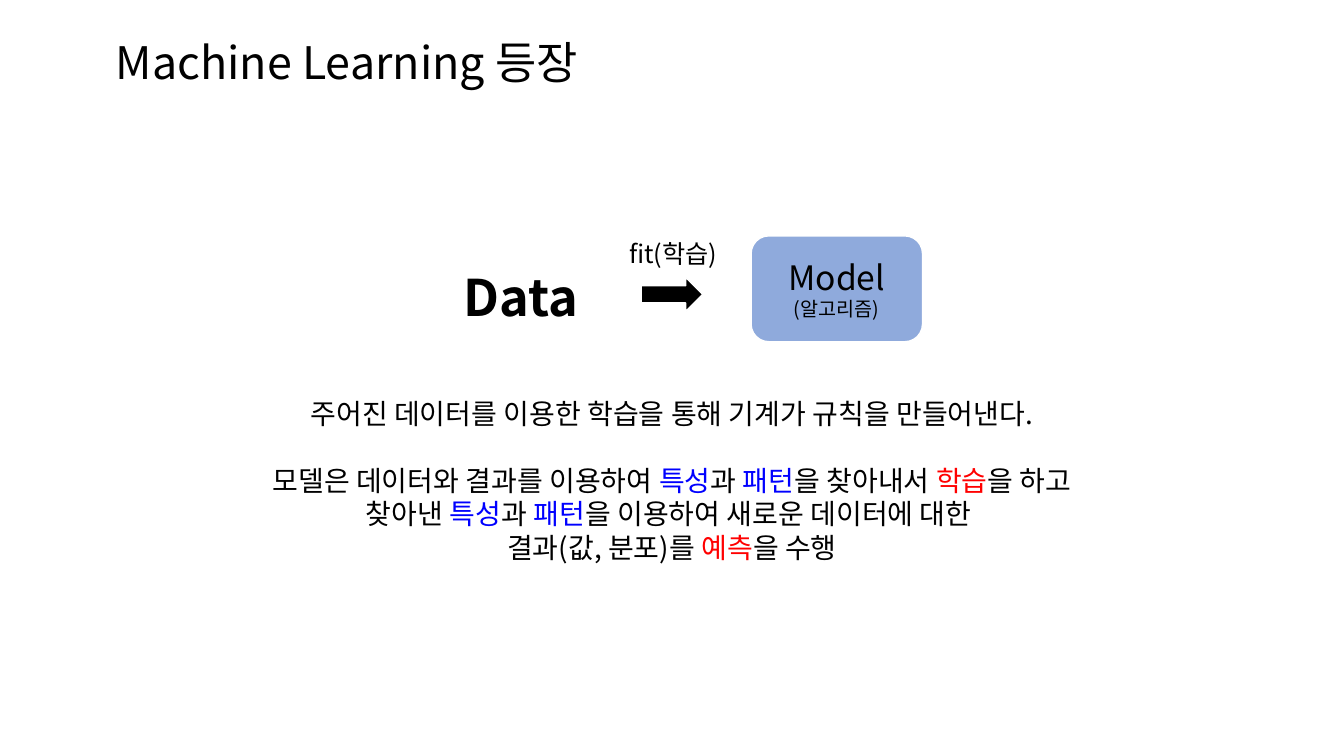
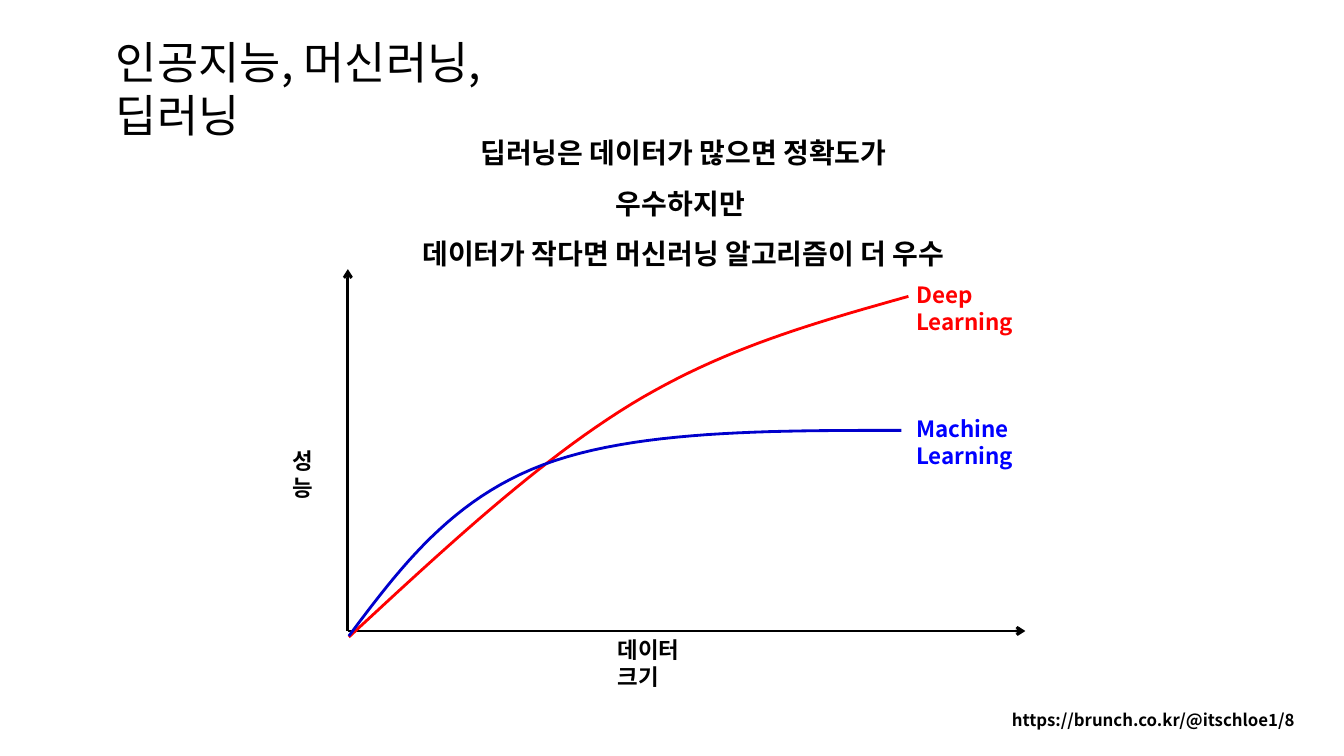
from lxml import etree
from pptx import Presentation
from pptx.dml.color import RGBColor
from pptx.enum.shapes import MSO_CONNECTOR, MSO_SHAPE
from pptx.enum.text import MSO_ANCHOR, MSO_AUTO_SIZE, PP_ALIGN
from pptx.oxml.ns import qn
from pptx.util import Inches, Pt

LEFT, CENTER, RIGHT = PP_ALIGN.LEFT, PP_ALIGN.CENTER, PP_ALIGN.RIGHT
TOP, MIDDLE = MSO_ANCHOR.TOP, MSO_ANCHOR.MIDDLE
NO_AUTOFIT = MSO_AUTO_SIZE.NONE
ROUNDED, RIGHT_ARROW = MSO_SHAPE.ROUNDED_RECTANGLE, MSO_SHAPE.RIGHT_ARROW
STRAIGHT = MSO_CONNECTOR.STRAIGHT
FONT = "Noto Sans CJK KR"
TITLE_ONLY = 5
CURVE_STEPS = 24
COLORS = {
    "black": "000000",
    "white": "FFFFFF",
    "model": "8FAADC",
    "red": "FF0000",
    "blue": "0000FF",
    "navy": "0000CC",
}


def rgb(name):
    """Return the named colour."""
    return RGBColor.from_string(COLORS[name])


def write(frame, text, size=16, color="black", bold=False, align=LEFT,
          line_spacing=None, space_before=0, first=False):
    """Add one paragraph, given as a string or as (text, colour) pieces."""
    paragraph = frame.paragraphs[0] if first else frame.add_paragraph()
    paragraph.alignment = align
    paragraph.space_before = Pt(space_before)
    if line_spacing:
        paragraph.line_spacing = line_spacing
    pieces = [(text, color)] if isinstance(text, str) else text
    for piece, piece_color in pieces:
        run = paragraph.add_run()
        run.text = piece
        run.font.size = Pt(size)
        run.font.bold = bold
        run.font.color.rgb = rgb(piece_color)
        run.font.name = FONT
        properties = run.font._element
        etree.SubElement(properties, qn("a:ea"), typeface=FONT)


def cubic_points(start, control_1, control_2, end):
    """Return points along a cubic curve, without its start."""
    points = []
    for step in range(1, CURVE_STEPS + 1):
        t = step / CURVE_STEPS
        weights = ((1 - t) ** 3, 3 * t * (1 - t) ** 2, 3 * t ** 2 * (1 - t), t ** 3)
        points.append(tuple(
            sum(weight * value for weight, value in zip(weights, values))
            for values in zip(start, control_1, control_2, end)))
    return points


class Deck:
    """Hold the presentation, its style and the current slide."""

    def __init__(self):
        """Start a widescreen presentation."""
        self.presentation = Presentation()
        self.presentation.slide_width = Inches(13.33)
        self.presentation.slide_height = Inches(7.5)
        self.slide = None

    def new_slide(self, title, title_width):
        """Add a slide with its title."""
        layout = self.presentation.slide_layouts[TITLE_ONLY]
        self.slide = self.presentation.slides.add_slide(layout)
        shape = self.slide.shapes.title
        shape.left, shape.top = Inches(1.05), Inches(0.29)
        shape.width, shape.height = Inches(title_width), Inches(0.64)
        frame = shape.text_frame
        frame.auto_size = NO_AUTOFIT
        frame.word_wrap = True
        frame.vertical_anchor = TOP
        write(frame, title, size=32, first=True)

    def text(self, left, top, width, height, text, **style):
        """Add a text box with its first paragraph and return its frame."""
        box = self.slide.shapes.add_textbox(
            Inches(left), Inches(top), Inches(width), Inches(height))
        frame = box.text_frame
        frame.word_wrap = True
        write(frame, text, first=True, **style)
        return frame

    def shape(self, kind, left, top, width, height, fill):
        """Add a filled preset shape with a thin white edge."""
        shape = self.slide.shapes.add_shape(
            kind, Inches(left), Inches(top), Inches(width), Inches(height))
        shape.shadow.inherit = False
        shape.fill.solid()
        shape.fill.fore_color.rgb = rgb(fill)
        shape.line.color.rgb = rgb("white")
        shape.line.width = Pt(1)
        shape.text_frame.vertical_anchor = MIDDLE
        return shape

    def axis(self, start, end):
        """Add a black line with an arrowhead at its end."""
        connector = self.slide.shapes.add_connector(
            STRAIGHT, *(Inches(value) for value in start + end))
        connector.line.color.rgb = rgb("black")
        connector.line.width = Pt(2)
        etree.SubElement(connector.line._get_or_add_ln(), qn("a:tailEnd"), type="arrow")
        etree.SubElement(connector._element.spPr, qn("a:effectLst"))

    def curve(self, start, segments, color):
        """Add an open curve made of cubic segments."""
        builder = self.slide.shapes.build_freeform(*(Inches(value) for value in start))
        for segment in segments:
            points = cubic_points(start, *segment)
            builder.add_line_segments(
                [(Inches(x), Inches(y)) for x, y in points], close=False)
            start = segment[-1]
        shape = builder.convert_to_shape()
        shape.shadow.inherit = False
        shape.fill.background()
        shape.line.color.rgb = rgb(color)
        shape.line.width = Pt(2)


def add_learning_slide(deck):
    """Show how a model is fitted to data."""
    deck.new_slide("Machine Learning 등장", 5.01)
    deck.text(4.28, 2.59, 1.78, 0.71, "Data", size=36, bold=True, align=CENTER)
    model = deck.shape(ROUNDED, 7.45, 2.34, 1.7, 1.05, "model").text_frame
    write(model, "Model", size=24, align=CENTER, first=True)
    write(model, "(알고리즘)", size=14, align=CENTER)
    deck.shape(RIGHT_ARROW, 6.36, 2.75, 0.61, 0.34, "black")
    deck.text(5.92, 2.32, 1.51, 0.4, "fit(학습)", size=18, align=CENTER)

    body = {"size": 20, "align": CENTER}
    feature, pattern = ("특성", "blue"), ("패턴", "blue")
    joiner = ("과 ", "black")
    frame = deck.text(1.94, 3.88, 9.45, 1.78,
                      "주어진 데이터를 이용한 학습을 통해 기계가 규칙을 만들어낸다.", **body)
    write(frame, [("모델은 데이터와 결과를 이용하여 ", "black"), feature, joiner, pattern,
                  ("을 찾아내서 ", "black"), ("학습", "red"), ("을 하고", "black")],
          space_before=24, **body)
    write(frame, [("찾아낸 ", "black"), feature, joiner, pattern,
                  ("을 이용하여 새로운 데이터에 대한 ", "black")], **body)
    write(frame, [("결과(값, 분포)를 ", "black"), ("예측", "red"), ("을 수행", "black")], **body)


def add_comparison_slide(deck):
    """Compare performance by data size."""
    deck.new_slide("인공지능, 머신러닝, 딥러닝", 4.92)
    heading = {"size": 20, "bold": True, "align": CENTER, "line_spacing": 1.5}
    frame = deck.text(4.05, 1.13, 5.46, 1.07,
                      "딥러닝은 데이터가 많으면 정확도가 우수하지만 ", **heading)
    write(frame, "데이터가 작다면 머신러닝 알고리즘이 더 우수", **heading)

    origin = (3.45, 6.26)
    for end in ((3.45, 2.67), (10.17, 6.26)):
        deck.axis(origin, end)
    deck.curve((3.46, 6.32), [((4.4, 5.45), (5.33, 4.58), (6.26, 4.01)),
                              ((7.18, 3.45), (8.09, 3.2), (9.01, 2.94))], "red")
    deck.curve((3.46, 6.31), [((3.97, 5.63), (4.48, 4.95), (5.39, 4.61)),
                              ((6.3, 4.27), (7.62, 4.27), (8.94, 4.27))], "navy")
    for left, top, width, label, color in (
            (6.03, 6.26, 1.23, "데이터 크기", "black"),
            (2.8, 4.39, 0.58, "성능", "black"),
            (8.99, 2.74, 1.75, "Deep Learning", "red"),
            (8.99, 4.07, 1.75, "Machine Learning", "blue")):
        deck.text(left, top, width, 0.37, label, color=color, bold=True)
    deck.text(4.19, 6.99, 8.75, 0.3, "https://brunch.co.kr/@itschloe1/8",
              size=12, bold=True, align=RIGHT)


def main():
    """Build and save the presentation."""
    deck = Deck()
    add_learning_slide(deck)
    add_comparison_slide(deck)
    deck.presentation.save("out.pptx")


if __name__ == "__main__":
    main()
